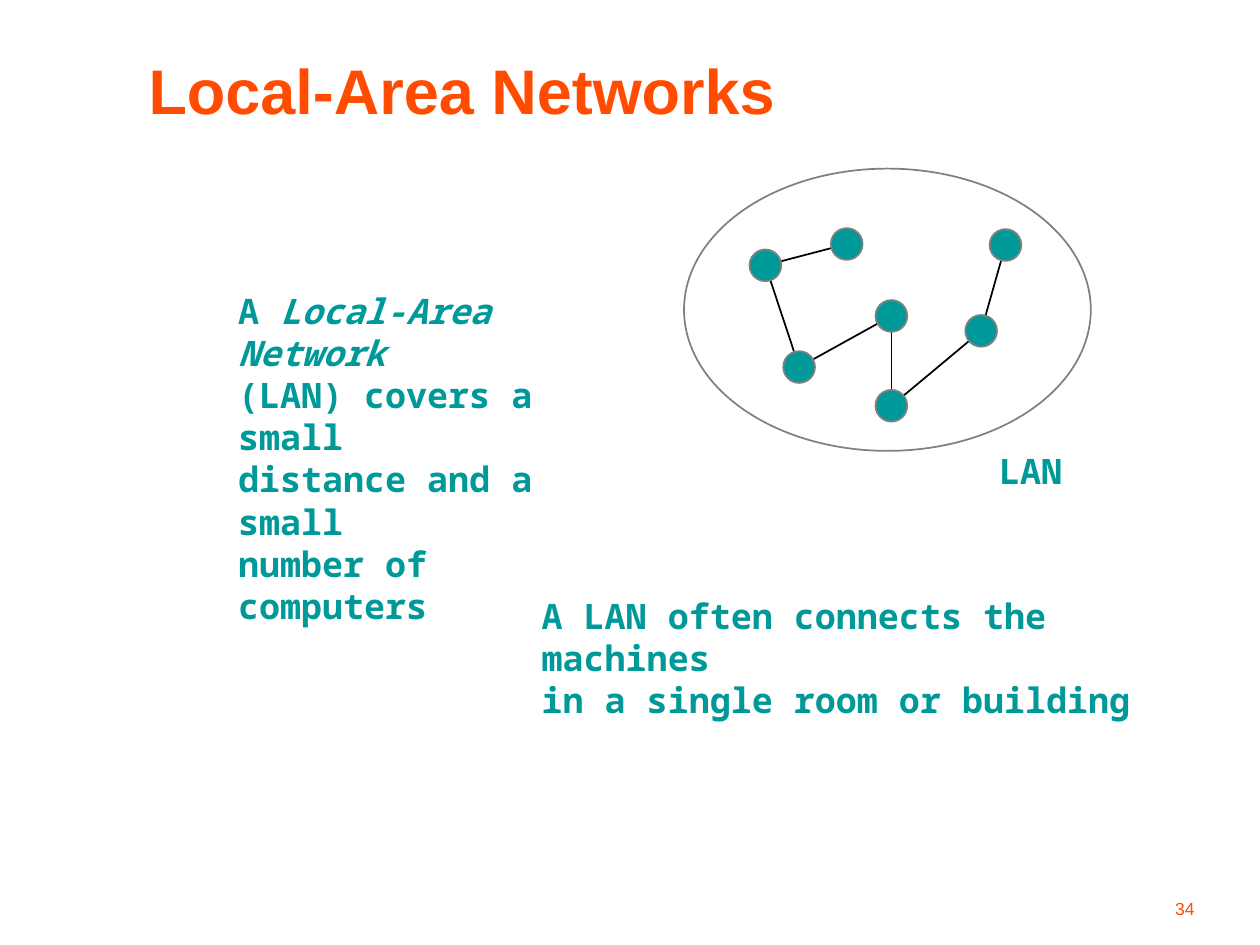
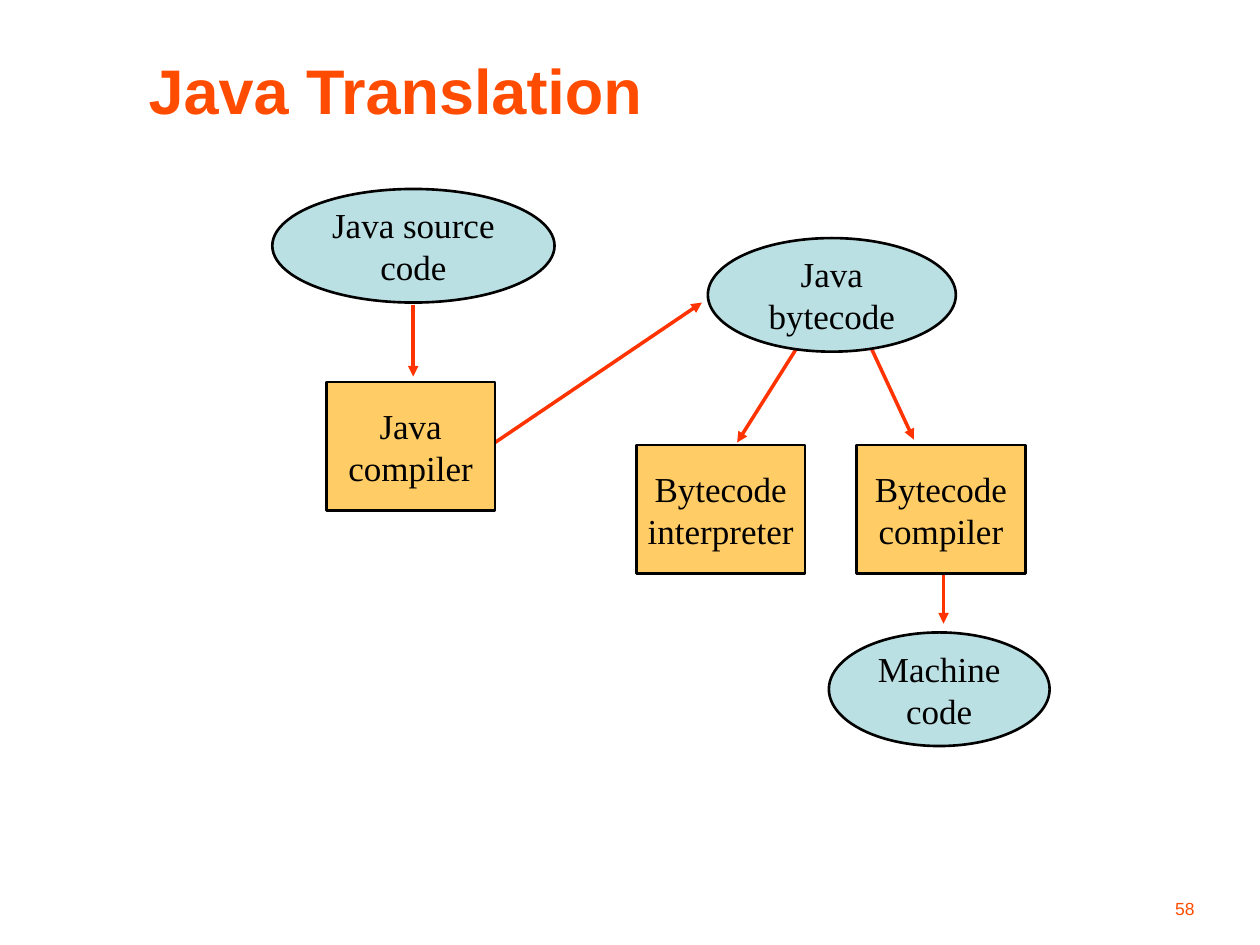
"""Build two slides on local-area networks and Java translation."""
import pptx
import pptx.util
import pptx.dml.color
import pptx.enum.shapes
import pptx.enum.text
import lxml.etree

Cm, Pt = pptx.util.Cm, pptx.util.Pt
RGB = pptx.dml.color.RGBColor.from_string
SHAPE = pptx.enum.shapes.MSO_SHAPE
ALIGN = pptx.enum.text.PP_ALIGN
ANCHOR = pptx.enum.text.MSO_ANCHOR
COLORS = {
    "orange": "FF4C00", "teal": "009999", "gray": "808080", "black": "000000",
    "arrow": "FF3300", "data": "BBE0E3", "program": "FFCC66",
}


def write(frame, text, font="Noto Sans Mono", size=20, color="teal", bold=False,
          align=ALIGN.LEFT, anchor=ANCHOR.TOP, wrap=True):
    """Fill a text frame, one paragraph a line, with *starred* words in italics."""
    frame.word_wrap = wrap
    frame.vertical_anchor = anchor
    frame.auto_size = pptx.enum.text.MSO_AUTO_SIZE.NONE
    for number, line in enumerate(text.split("\n")):
        paragraph = frame.add_paragraph() if number else frame.paragraphs[0]
        paragraph.alignment = align
        for position, part in enumerate(line.split("*")):
            if part:
                run = paragraph.add_run()
                run.text = part
                run.font.name = font
                run.font.size = Pt(size)
                run.font.bold = bold
                run.font.italic = position % 2 == 1
                run.font.color.rgb = RGB(COLORS[color])


def connect(slide, start, end, color, width, arrow=False):
    """Draw a straight line between two points given in centimetres."""
    connector = slide.shapes.add_connector(
        pptx.enum.shapes.MSO_CONNECTOR.STRAIGHT, *map(Cm, start + end))
    connector.line.color.rgb = RGB(COLORS[color])
    connector.line.width = Pt(width)
    drawing = "{http://schemas.openxmlformats.org/drawingml/2006/main}"
    if arrow:
        outline = connector.line._get_or_add_ln()
        lxml.etree.SubElement(outline, drawing + "tailEnd", type="triangle")
    lxml.etree.SubElement(connector._element.spPr, drawing + "effectLst")


deck = pptx.Presentation()
deck.slide_width, deck.slide_height = Cm(25.4), Cm(19.05)

for heading, page in [("Local-Area Networks", "34"), ("Java Translation", "58")]:
    slide = deck.slides.add_slide(deck.slide_layouts[5])
    title = slide.shapes.title
    title.left, title.top, title.width, title.height = map(Cm, (2.74, 0.84, 22.02, 1.91))
    write(title.text_frame, heading, font="Arial", size=36, color="orange",
          bold=True, anchor=ANCHOR.MIDDLE)
    page_number = slide.shapes.add_textbox(*map(Cm, (19.05, 17.58, 5.28, 1.07)))
    write(page_number.text_frame, page, font="Arial", size=10, color="orange",
          align=ALIGN.RIGHT, anchor=ANCHOR.BOTTOM)

network, translation = deck.slides

computers = [(15.43, 5.35), (17.07, 4.92), (16.11, 7.4), (17.97, 6.37),
             (17.97, 8.18), (19.78, 6.67), (20.27, 4.94)]
for first, second in [(0, 1), (2, 0), (3, 4), (2, 3), (6, 5), (4, 5)]:
    connect(network, computers[first], computers[second], "black", 1)

diameter = 0.64
circles = [(x - diameter / 2, y - diameter / 2, diameter, diameter) for x, y in computers]
lan_area = (13.79, 3.4, 8.2, 5.69)
for place in circles + [lan_area]:
    oval = network.shapes.add_shape(SHAPE.OVAL, *map(Cm, place))
    oval.shadow.inherit = False
    oval.line.color.rgb = RGB(COLORS["gray"])
    oval.line.width = Pt(1)
    if place == lan_area:
        oval.fill.background()
    else:
        oval.fill.solid()
        oval.fill.fore_color.rgb = RGB(COLORS["teal"])

for text, place in [
    ("LAN", (19.89, 8.94, 1.98, 1.09)),
    ("A *Local-Area Network*\n(LAN) covers a small\ndistance and a small\nnumber of computers",
     (4.55, 5.72, 8.2, 3.66)),
    ("A LAN often connects the machines\nin a single room or building",
     (10.67, 11.86, 13.03, 1.96)),
]:
    note = network.shapes.add_textbox(*map(Cm, place))
    write(note.text_frame, text, bold=True)

for start, end in [
    ((8.33, 6.15), (8.33, 7.59)),
    ((9.98, 8.92), (14.15, 6.1)),
    ((16.08, 6.99), (14.86, 8.92)),
    ((17.55, 6.99), (18.42, 8.86)),
    ((19.02, 11.43), (19.02, 12.57)),
]:
    connect(translation, start, end, "arrow", 2, arrow=True)

outlines = {"data": SHAPE.OVAL, "program": SHAPE.RECTANGLE}
heights = {"data": 2.29, "program": 2.59}
for text, role, left, top, width in [
    ("Java source\ncode", "data", 5.49, 3.81, 5.69),
    ("Machine\ncode", "data", 16.71, 12.75, 4.45),
    ("Java\nbytecode", "data", 14.27, 4.8, 5),
    ("Bytecode\ninterpreter", "program", 12.83, 8.97, 3.4),
    ("Bytecode\ncompiler", "program", 17.27, 8.97, 3.4),
    ("Java\ncompiler", "program", 6.58, 7.7, 3.4),
]:
    step = translation.shapes.add_shape(
        outlines[role], *map(Cm, (left, top, width, heights[role])))
    step.shadow.inherit = False
    step.fill.solid()
    step.fill.fore_color.rgb = RGB(COLORS[role])
    step.line.color.rgb = RGB(COLORS["black"])
    step.line.width = Pt(1.5)
    write(step.text_frame, text, font="Times New Roman", color="black",
          align=ALIGN.CENTER, anchor=ANCHOR.MIDDLE, wrap=False)

deck.save("out.pptx")
